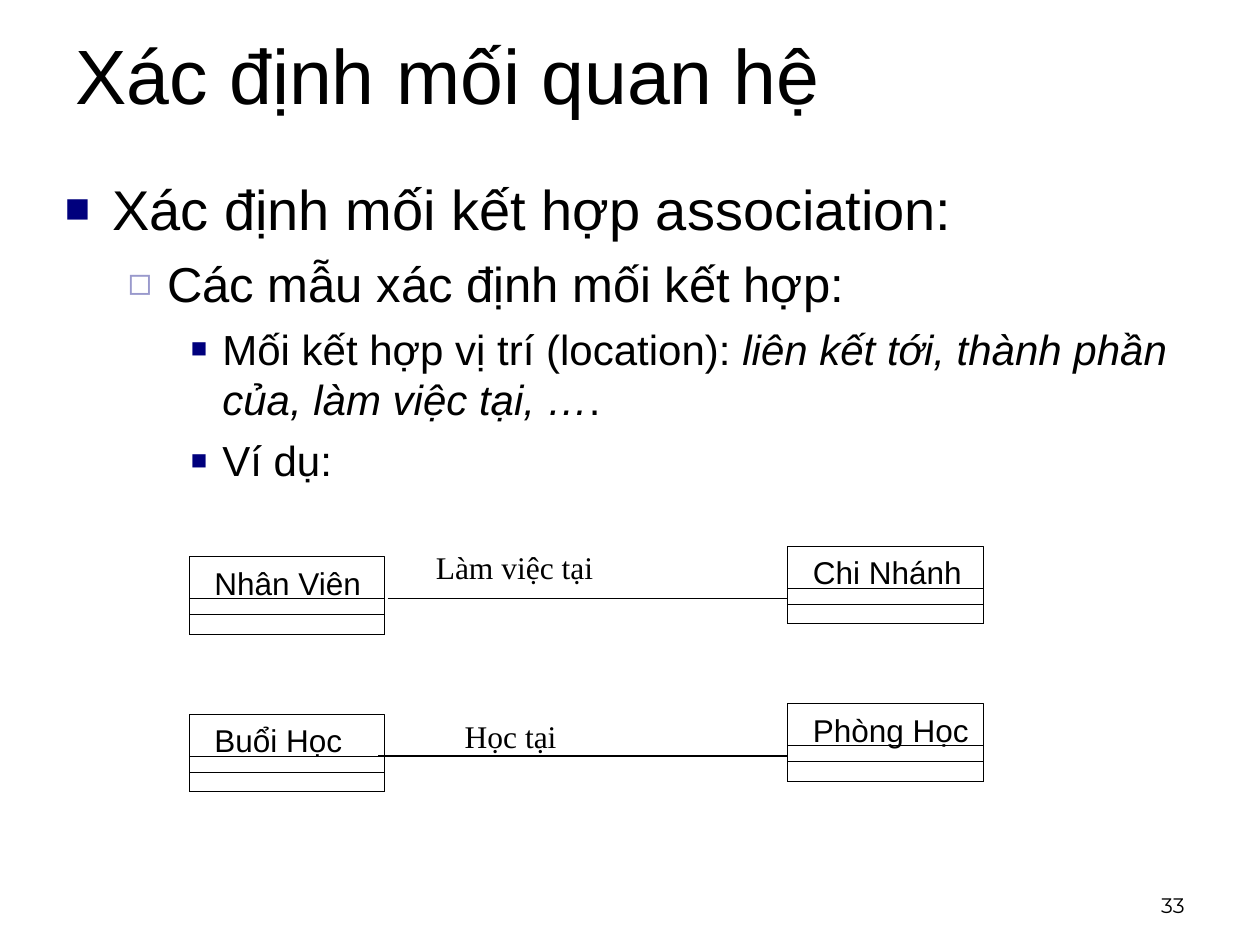
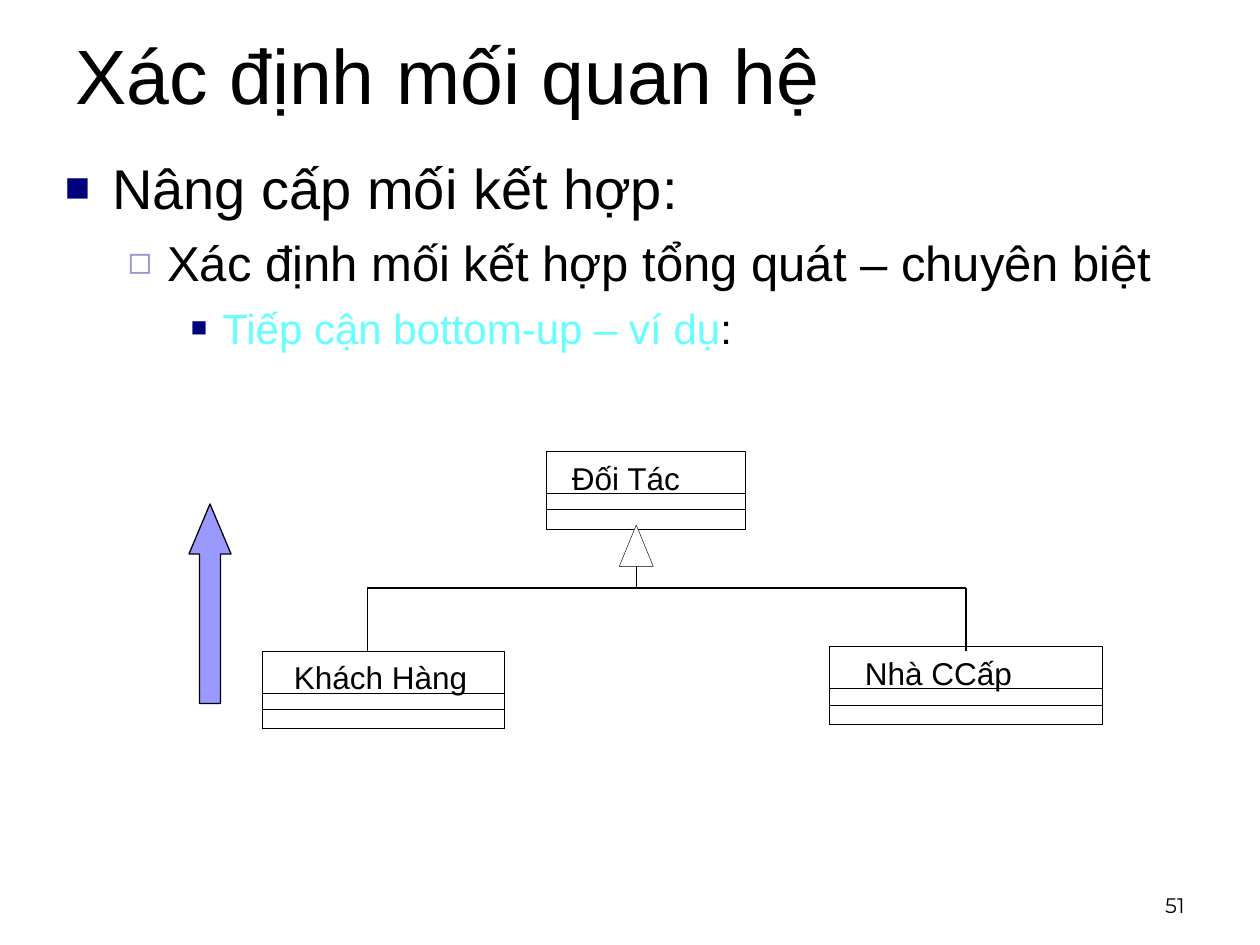
from lxml import etree
from pptx import Presentation
from pptx.dml.color import RGBColor
from pptx.enum.shapes import MSO_CONNECTOR, MSO_SHAPE
from pptx.enum.text import MSO_ANCHOR, PP_ALIGN
from pptx.oxml.ns import qn
from pptx.util import Pt

RECTANGLE, UP_ARROW = MSO_SHAPE.RECTANGLE, MSO_SHAPE.UP_ARROW
STRAIGHT = MSO_CONNECTOR.STRAIGHT
TOP, MIDDLE, BOTTOM = MSO_ANCHOR.TOP, MSO_ANCHOR.MIDDLE, MSO_ANCHOR.BOTTOM
LEFT, RIGHT = PP_ALIGN.LEFT, PP_ALIGN.RIGHT

BLACK = RGBColor(0x00, 0x00, 0x00)
WHITE = RGBColor(0xFF, 0xFF, 0xFF)
NAVY = RGBColor(0x00, 0x00, 0x7D)
LAVENDER = RGBColor(0x99, 0x99, 0xCC)
PERIWINKLE = RGBColor(0x99, 0x99, 0xFF)
CYAN = RGBColor(0x66, 0xFF, 0xFF)

SANS, SERIF, NUMBER_FONT = "Arial", "Times New Roman", "Montserrat"
PADDING = (7.2, 3.6)
NO_PADDING = (0, 0)
HAIRLINE, THIN = 0.2, 0.75

# Outline levels: text size, indent, hanging, space before, bullet, colour, bullet %
LEVELS = [
    (32, 27, 27, 8, "■", NAVY, 75),
    (28, 58.5, 22.5, 7, "◻", LAVENDER, 80),
    (24, 90, 18, 6, "■", NAVY, 65),
]

TITLE = "Xác định mối quan hệ"

# Outline entries: level, then runs of (text, colour, italic)
ASSOCIATION = {
    "number": "33",
    "outline_top": 96,
    "outline": [
        (0, [("Xác định mối kết hợp association:", BLACK, False)]),
        (1, [("Các mẫu xác định mối kết hợp:", BLACK, False)]),
        (2, [("Mối kết hợp vị trí (location): ", BLACK, False),
             ("liên kết tới, thành phần của, làm việc tại, …", BLACK, True),
             (".", BLACK, False)]),
        (2, [("Ví dụ:", BLACK, False)]),
    ],
}
GENERALIZATION = {
    "number": "51",
    "outline_top": 84,
    "outline": [
        (0, [("Nâng cấp mối kết hợp:", BLACK, False)]),
        (1, [("Xác định mối kết hợp tổng quát – chuyên biệt", BLACK, False)]),
        (2, [("Tiếp cận bottom-up – ví dụ", CYAN, False), (":", BLACK, False)]),
    ],
}

# Left class, right class, relation, line start, label left, label drop, label width
RELATIONS = [
    ("Nhân Viên", "Chi Nhánh", "Làm việc tại", 222, 242, -2.5, 119),
    ("Buổi Học", "Phòng Học", "Học tại", 216, 258.5, 4, 75),
]
RELATION_TOP, RELATION_PITCH = 312, 90
SOURCE_LEFT, TARGET_LEFT, RELATION_CLASS_WIDTH = 108, 450, 111.6
SOURCE_DROP, LINK_DROP = 6, 30

# Class, left, top, width
HIERARCHY = [
    ("Khách Hàng", 150, 372, 138),
    ("Nhà CCấp", 474, 369.5, 156),
    ("Đối Tác", 312, 258, 114),
]
BRANCH_LEFT, BRANCH_RIGHT, BRANCH_Y, BRANCH_END = 210, 552, 336, 372
STEM_X, HEAD_TOP, HEAD_BOTTOM, HEAD_HALF = 363.6, 300, 323.6, 9.7

# Top offsets of the nested frames of a class; all share the same bottom
COMPARTMENTS = (0, 24, 33.2)
CLASS_HEIGHT, NAME_DROP, NAME_INDENT = 44.4, 4.3, 0.13


def style_run(run, size, font=SANS, colour=BLACK, italic=False):
    run.font.size = Pt(size)
    run.font.name = font
    run.font.color.rgb = colour
    run.font.italic = italic


def add_frame(parent, left, top, width, height, padding=PADDING, anchor=TOP):
    """Add an empty wrapping text box and return its text frame."""
    frame = parent.add_textbox(Pt(left), Pt(top), Pt(width), Pt(height)).text_frame
    frame.word_wrap = True
    frame.vertical_anchor = anchor
    frame.margin_left = frame.margin_right = Pt(padding[0])
    frame.margin_top = frame.margin_bottom = Pt(padding[1])
    return frame


def add_label(parent, text, place, size, font=SANS, padding=PADDING,
              anchor=TOP, align=LEFT):
    frame = add_frame(parent, *place, padding, anchor)
    frame.text = text
    paragraph = frame.paragraphs[0]
    paragraph.alignment = align
    style_run(paragraph.runs[0], size, font)


def add_bullet(paragraph, indent, hanging, char, colour, percent):
    properties = paragraph._p.get_or_add_pPr()
    properties.set("marL", str(Pt(indent)))
    properties.set("indent", str(-Pt(hanging)))
    bullet_colour = etree.SubElement(properties, qn("a:buClr"))
    etree.SubElement(bullet_colour, qn("a:srgbClr"), val=str(colour))
    etree.SubElement(properties, qn("a:buSzPct"), val=str(percent * 1000))
    etree.SubElement(properties, qn("a:buFont"), typeface=SANS)
    etree.SubElement(properties, qn("a:buChar"), char=char)


def add_outline(shapes, top, entries):
    frame = add_frame(shapes, 30, top, 648, 356)
    for index, (level, runs) in enumerate(entries):
        size, indent, hanging, before, char, colour, percent = LEVELS[level]
        paragraph = frame.add_paragraph() if index else frame.paragraphs[0]
        paragraph.level = level
        add_bullet(paragraph, indent, hanging, char, colour, percent)
        if index:
            paragraph.space_before = Pt(before)
        for text, run_colour, italic in runs:
            run = paragraph.add_run()
            run.text = text
            style_run(run, size, SANS, run_colour, italic)


def style_shape(shape, fill, weight):
    shape.shadow.inherit = False
    if fill is None:
        shape.fill.background()
    else:
        shape.fill.solid()
        shape.fill.fore_color.rgb = fill
    shape.line.color.rgb = BLACK
    shape.line.width = Pt(weight)


def add_class(shapes, name, left, top, width):
    """Add a grouped class symbol with its name over nested compartments."""
    group = shapes.add_group_shape().shapes
    for offset in COMPARTMENTS:
        box = group.add_shape(RECTANGLE, Pt(left), Pt(top + offset),
                              Pt(width), Pt(CLASS_HEIGHT - offset))
        style_shape(box, None, HAIRLINE)
    indent = NAME_INDENT * width
    add_label(group, name, (left + indent, top + NAME_DROP, width - indent, 21.6),
              18, padding=NO_PADDING)


def add_line(shapes, x1, y1, x2, y2):
    line = shapes.add_connector(STRAIGHT, Pt(x1), Pt(y1), Pt(x2), Pt(y2))
    line.line.color.rgb = BLACK
    line.line.width = Pt(THIN)
    etree.SubElement(line._element.spPr, qn("a:effectLst"))


def add_base_slide(deck, content):
    """Add a slide with title, outline and page number; return its shapes."""
    shapes = deck.slides.add_slide(deck.slide_layouts[6]).shapes
    add_label(shapes, TITLE, (36, -12, 648, 108), 44, anchor=MIDDLE)
    add_outline(shapes, content["outline_top"], content["outline"])
    add_label(shapes, content["number"], (516, 492, 168, 36), 12, NUMBER_FONT,
              anchor=BOTTOM, align=RIGHT)
    return shapes


def build_association(deck):
    shapes = add_base_slide(deck, ASSOCIATION)
    for row, relation in enumerate(RELATIONS):
        source, target, verb, line_start, label_left, label_drop, label_width = relation
        top = RELATION_TOP + row * RELATION_PITCH
        add_class(shapes, source, SOURCE_LEFT, top + SOURCE_DROP, RELATION_CLASS_WIDTH)
        add_class(shapes, target, TARGET_LEFT, top, RELATION_CLASS_WIDTH)
        add_line(shapes, line_start, top + LINK_DROP, TARGET_LEFT, top + LINK_DROP)
        add_label(shapes, verb, (label_left, top + label_drop, label_width, 29), 18, SERIF)


def build_generalization(deck):
    shapes = add_base_slide(deck, GENERALIZATION)
    for name, left, top, width in HIERARCHY:
        add_class(shapes, name, left, top, width)

    outline = shapes.build_freeform(Pt(STEM_X), Pt(HEAD_TOP))
    outline.add_line_segments([
        (Pt(STEM_X + HEAD_HALF), Pt(HEAD_BOTTOM)),
        (Pt(STEM_X - HEAD_HALF), Pt(HEAD_BOTTOM)),
    ], close=True)
    style_shape(outline.convert_to_shape(), WHITE, 0.25)

    add_line(shapes, STEM_X, HEAD_BOTTOM, STEM_X, BRANCH_Y)
    add_line(shapes, BRANCH_LEFT, BRANCH_Y, BRANCH_RIGHT, BRANCH_Y)
    for x in (BRANCH_LEFT, BRANCH_RIGHT):
        add_line(shapes, x, BRANCH_Y, x, BRANCH_END)

    bottom_up = shapes.add_shape(UP_ARROW, Pt(108), Pt(288), Pt(24), Pt(114))
    bottom_up.adjustments[0] = 0.5
    bottom_up.adjustments[1] = 1.19
    style_shape(bottom_up, PERIWINKLE, THIN)


def main():
    deck = Presentation()
    deck.slide_width, deck.slide_height = Pt(720), Pt(540)
    build_association(deck)
    build_generalization(deck)
    deck.save("out.pptx")


if __name__ == "__main__":
    main()
